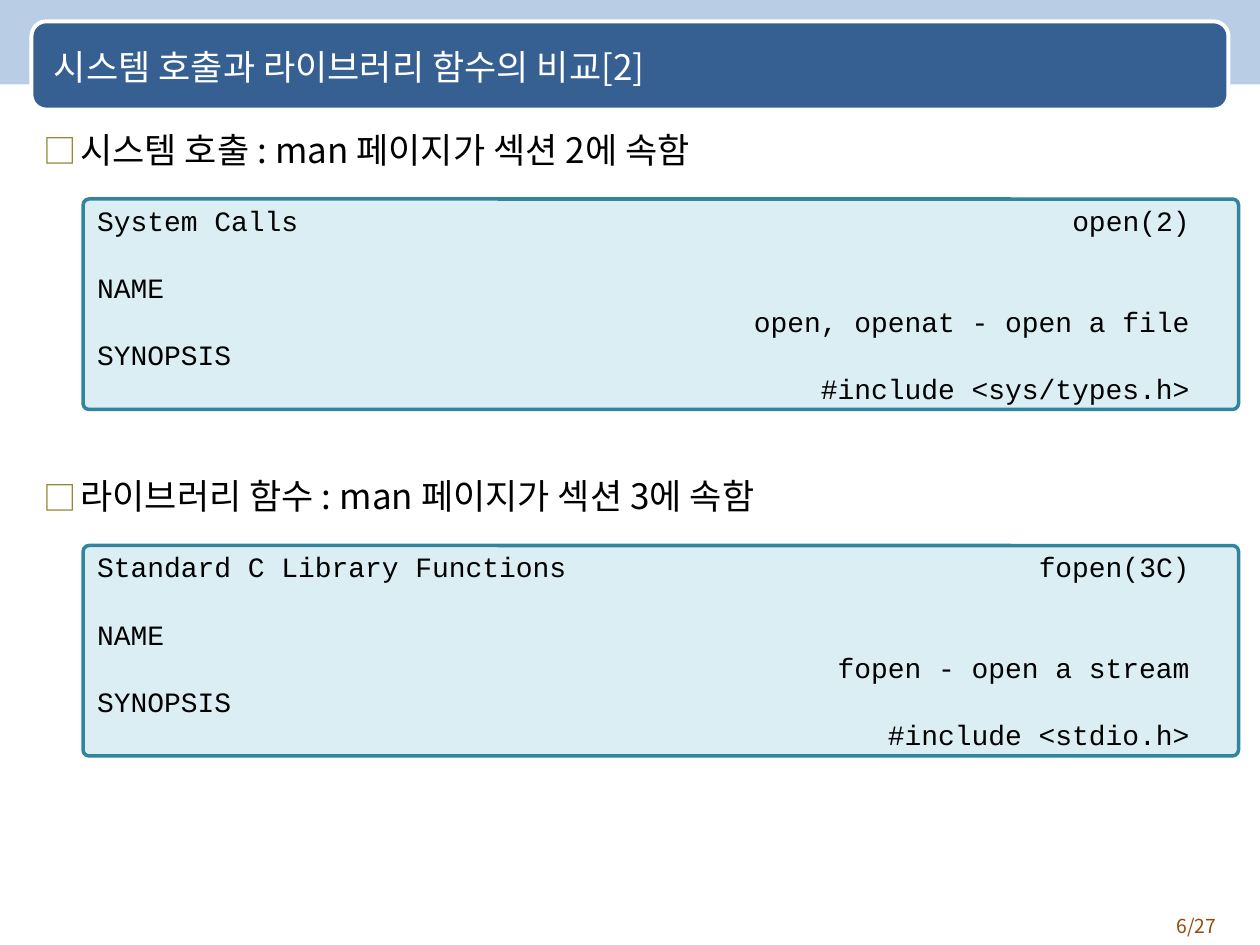
from pptx import Presentation
from pptx.dml.color import RGBColor
from pptx.enum.shapes import MSO_SHAPE
from pptx.enum.text import MSO_ANCHOR, PP_ALIGN
from pptx.oxml.xmlchemy import OxmlElement
from pptx.util import Inches, Pt


def color(value):
    return RGBColor.from_string(value)


def add_element(parent, tag, **attributes):
    element = OxmlElement(tag)
    for name, value in attributes.items():
        element.set(name, str(value))
    parent.append(element)
    return element


class SlideBuilder:
    """Draws styled elements on the current slide."""

    sans = "Noto Sans CJK KR"
    mono = "Courier New"
    line_height = Pt(19.2)

    def __init__(self, slide):
        self.slide = slide

    def style(self, paragraph, size, font_name, font_color):
        for run in paragraph.runs:
            run.font.size = Pt(size)
            run.font.name = font_name
            run.font.color.rgb = color(font_color)
            add_element(run.font._element, "a:ea", typeface=font_name)

    def box(self, kind, left, top, width, height, fill, line=None, line_width=0, corner=None):
        shape = self.slide.shapes.add_shape(
            kind, Inches(left), Inches(top), Inches(width), Inches(height))
        shape.shadow.inherit = False
        shape.fill.solid()
        shape.fill.fore_color.rgb = color(fill)
        if line:
            shape.line.color.rgb = color(line)
            shape.line.width = Pt(line_width)
        else:
            shape.line.fill.background()
        if corner is not None:
            shape.adjustments[0] = corner
        return shape

    def text(self, text, left, top, width, height, size, font_color,
             align=PP_ALIGN.LEFT, anchor=MSO_ANCHOR.TOP):
        shape = self.slide.shapes.add_textbox(
            Inches(left), Inches(top), Inches(width), Inches(height))
        text_frame = shape.text_frame
        text_frame.word_wrap = True
        text_frame.vertical_anchor = anchor
        text_frame.text = text
        paragraph = text_frame.paragraphs[0]
        paragraph.alignment = align
        self.style(paragraph, size, self.sans, font_color)
        return paragraph

    def heading(self, text, top):
        paragraph = self.text(text, 0.25, top, 9.5, 0.5, 20, "000000")
        properties = paragraph._p.get_or_add_pPr()
        properties.set("marL", str(Inches(0.29)))
        properties.set("indent", str(-Inches(0.29)))
        bullet_color = add_element(properties, "a:buClr")
        add_element(bullet_color, "a:srgbClr", val="888128")
        add_element(properties, "a:buSzPct", val=95000)
        add_element(properties, "a:buFont", typeface=self.sans)
        add_element(properties, "a:buChar", char="□")

    def manual_page(self, section, page, summary, header, top):
        shape = self.box(MSO_SHAPE.ROUNDED_RECTANGLE, 0.66, top, 9.17, 1.67,
                         "DBEEF4", "31859C", 2, 0.028)
        text_frame = shape.text_frame
        text_frame.word_wrap = True
        text_frame.vertical_anchor = MSO_ANCHOR.MIDDLE
        text_frame.text = "\n".join([
            f"{section}\t{page}", "NAME", f"\t{summary}", "SYNOPSIS", f"\t#include <{header}>"])
        title, name = text_frame.paragraphs[:2]
        for paragraph in text_frame.paragraphs:
            paragraph.alignment = PP_ALIGN.JUSTIFY
            paragraph.line_spacing = self.line_height
            self.style(paragraph, 16, self.mono, "000000")
        name.space_before = self.line_height
        tabs = add_element(title._p.get_or_add_pPr(), "a:tabLst")
        add_element(tabs, "a:tab", pos=Inches(8.67), algn="r")


def main():
    presentation = Presentation()
    presentation.slide_width = Inches(10)
    presentation.slide_height = Inches(7.5)
    slide = presentation.slides.add_slide(presentation.slide_layouts[6])
    builder = SlideBuilder(slide)

    builder.box(MSO_SHAPE.RECTANGLE, -0.01, 0, 10.02, 0.67, "B9CDE5")
    builder.box(MSO_SHAPE.ROUNDED_RECTANGLE, 0.25, 0.17, 9.5, 0.7,
                "376092", "FFFFFF", 2.25, 0.167)
    builder.text("6/27", 8.92, 7.21, 0.83, 0.29, 11, "984807", PP_ALIGN.RIGHT)
    builder.text("시스템 호출과 라이브러리 함수의 비교[2]", 0.33, 0.19, 9.25, 0.67,
                 20, "FFFFFF", anchor=MSO_ANCHOR.MIDDLE)

    sections = [
        ("시스템 호출 : man 페이지가 섹션 2에 속함",
         ("System Calls", "open(2)", "open, openat - open a file", "sys/types.h")),
        ("라이브러리 함수 : man 페이지가 섹션 3에 속함",
         ("Standard C Library Functions", "fopen(3C)", "fopen - open a stream", "stdio.h")),
    ]
    for index, (heading, manual) in enumerate(sections):
        offset = 2.75 * index
        builder.heading(heading, 0.97 + offset)
        builder.manual_page(*manual, top=1.58 + offset)

    presentation.save("out.pptx")


if __name__ == "__main__":
    main()
